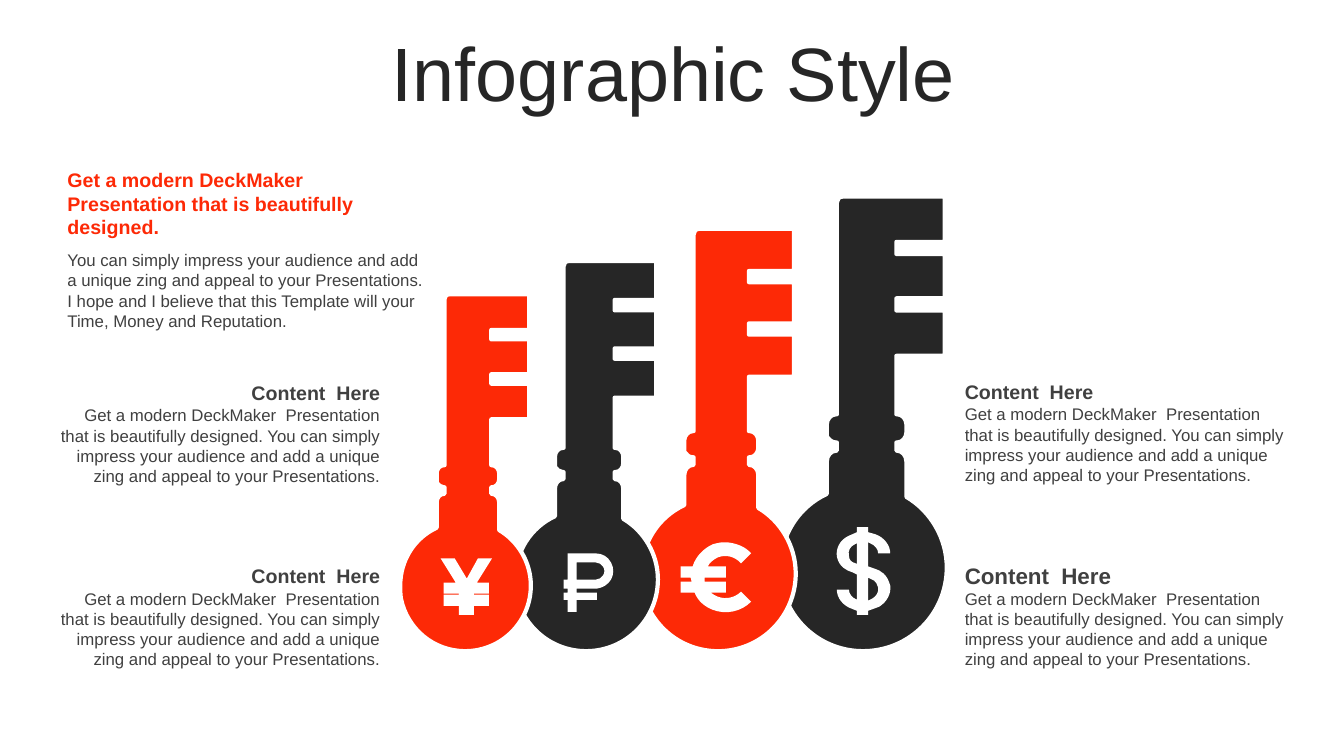
from lxml import etree
from pptx import Presentation
from pptx.dml.color import RGBColor
from pptx.enum.text import MSO_ANCHOR, MSO_AUTO_SIZE, PP_ALIGN
from pptx.oxml.ns import qn
from pptx.util import Inches, Pt

RED = RGBColor(0xFD, 0x29, 0x06)
BLACK = RGBColor(0x26, 0x26, 0x26)
GRAY = RGBColor(0x40, 0x40, 0x40)
WHITE = RGBColor(0xFF, 0xFF, 0xFF)
LEFT, CENTER, RIGHT = PP_ALIGN.LEFT, PP_ALIGN.CENTER, PP_ALIGN.RIGHT
TOP, MIDDLE = MSO_ANCHOR.TOP, MSO_ANCHOR.MIDDLE
FIT_SHAPE, NO_FIT = MSO_AUTO_SIZE.SHAPE_TO_FIT_TEXT, MSO_AUTO_SIZE.NONE

KEY_LEFT, KEY_BOTTOM, KEY_HEIGHT = 7.74, 6.46, 4.51

# Outlines are lists of contours: a pair is a corner, six numbers are a Bezier curve.
KEY = [[
    (8.83, 1.95), (8.36, 1.95), (8.32, 1.95, 8.3, 1.98, 8.3, 2.01),
    (8.3, 4.11), (8.29, 4.11), (8.24, 4.11, 8.2, 4.16, 8.2, 4.21),
    (8.2, 4.29), (8.2, 4.3, 8.2, 4.32, 8.2, 4.33),
    (8.22, 4.36, 8.25, 4.39, 8.29, 4.39), (8.3, 4.39), (8.3, 4.47),
    (8.24, 4.47, 8.2, 4.52, 8.2, 4.58), (8.2, 4.9),
    (7.92, 5.03, 7.74, 5.31, 7.74, 5.63), (7.74, 5.69, 7.74, 5.75, 7.75, 5.8),
    (7.83, 6.18, 8.16, 6.46, 8.56, 6.46), (9.02, 6.46, 9.39, 6.09, 9.39, 5.63),
    (9.39, 5.34, 9.23, 5.07, 8.99, 4.93), (8.99, 4.58),
    (8.99, 4.52, 8.95, 4.47, 8.89, 4.47), (8.89, 4.39), (8.9, 4.39),
    (8.95, 4.39, 8.99, 4.34, 8.99, 4.29), (8.99, 4.21),
    (8.99, 4.16, 8.95, 4.11, 8.9, 4.11), (8.89, 4.11), (8.89, 3.53),
    (9.37, 3.53), (9.37, 3.08), (8.89, 3.08), (8.89, 2.96), (9.37, 2.96),
    (9.37, 2.52), (8.89, 2.52), (8.89, 2.4), (9.37, 2.4), (9.37, 1.95),
]]
DOLLAR = [
    [(8.61, 5.73), (8.61, 5.96), (8.65, 5.94),
     (8.69, 5.92, 8.72, 5.87, 8.71, 5.83), (8.7, 5.8, 8.69, 5.77, 8.67, 5.76)],
    [(8.5, 5.39), (8.48, 5.4), (8.43, 5.42, 8.41, 5.47, 8.42, 5.51),
     (8.42, 5.56, 8.45, 5.58, 8.49, 5.59), (8.5, 5.6)],
    [(8.5, 5.23), (8.61, 5.23), (8.61, 5.28), (8.68, 5.3),
     (8.77, 5.33, 8.83, 5.41, 8.83, 5.49), (8.71, 5.49),
     (8.71, 5.45, 8.68, 5.41, 8.63, 5.39), (8.61, 5.38), (8.61, 5.62),
     (8.67, 5.64), (8.74, 5.66, 8.8, 5.7, 8.83, 5.81),
     (8.84, 5.89, 8.8, 5.97, 8.72, 6.02), (8.61, 6.06), (8.61, 6.1),
     (8.5, 6.1), (8.5, 6.06), (8.45, 6.04),
     (8.36, 6.01, 8.3, 5.93, 8.3, 5.85), (8.42, 5.85),
     (8.42, 5.89, 8.45, 5.93, 8.5, 5.95), (8.5, 5.7), (8.46, 5.68),
     (8.39, 5.66, 8.32, 5.62, 8.3, 5.52), (8.29, 5.44, 8.33, 5.36, 8.41, 5.32),
     (8.5, 5.28)],
]
YEN = [[
    (4.37, 5.54), (4.51, 5.54), (4.63, 5.74), (4.74, 5.54), (4.88, 5.54),
    (4.73, 5.78), (4.85, 5.78), (4.85, 5.89), (4.7, 5.89), (4.7, 5.9),
    (4.85, 5.9), (4.85, 6.01), (4.7, 6.01), (4.7, 6.1), (4.55, 6.1),
    (4.55, 6.01), (4.4, 6.01), (4.4, 5.9), (4.55, 5.9), (4.55, 5.89),
    (4.4, 5.89), (4.4, 5.78), (4.52, 5.78),
]]
EURO = [[
    (7.21, 5.38), (7.3, 5.39, 7.39, 5.42, 7.45, 5.49), (7.35, 5.59),
    (7.29, 5.52, 7.2, 5.5, 7.12, 5.53), (7.08, 5.55, 7.04, 5.58, 7.02, 5.62),
    (7.2, 5.62), (7.2, 5.73), (6.99, 5.73), (6.99, 5.77), (7.2, 5.77),
    (7.2, 5.88), (7.05, 5.88), (7.07, 5.9, 7.1, 5.91, 7.12, 5.92),
    (7.2, 5.95, 7.29, 5.93, 7.35, 5.87), (7.45, 5.97),
    (7.35, 6.07, 7.2, 6.1, 7.07, 6.05), (6.99, 6.02, 6.92, 5.96, 6.89, 5.88),
    (6.75, 5.88), (6.75, 5.77), (6.86, 5.77), (6.85, 5.73), (6.75, 5.73),
    (6.75, 5.62), (6.87, 5.62), (6.9, 5.52, 6.98, 5.44, 7.07, 5.4),
    (7.11, 5.39, 7.14, 5.38, 7.18, 5.38),
]]
RUBLE = [
    [(5.72, 5.58), (5.72, 5.75), (5.91, 5.75),
     (5.94, 5.75, 5.97, 5.73, 5.98, 5.71), (6, 5.68, 6, 5.65, 5.98, 5.62),
     (5.97, 5.6, 5.94, 5.58, 5.91, 5.58)],
    [(5.63, 5.49), (5.91, 5.49), (5.97, 5.49, 6.03, 5.52, 6.06, 5.58),
     (6.09, 5.63, 6.09, 5.7, 6.06, 5.75), (6.03, 5.8, 5.98, 5.83, 5.92, 5.84),
     (5.72, 5.84), (5.72, 5.88), (5.92, 5.88), (5.92, 5.95), (5.72, 5.95),
     (5.72, 6.07), (5.63, 6.07), (5.63, 5.95), (5.59, 5.95), (5.59, 5.88),
     (5.63, 5.88), (5.63, 5.84), (5.59, 5.84), (5.59, 5.75), (5.63, 5.75)],
]

# Left edge, height, colour; the largest key lies at the back.
KEYS = [(7.74, 4.51, BLACK), (6.36, 4.19, RED), (5.11, 3.87, BLACK), (3.97, 3.54, RED)]

# Left edge, heading top, heading height, heading size, body top, alignment.
CONTENT_BLOCKS = [
    (9.47, 3.72, 0.34, 14, 3.96, LEFT),
    (9.47, 5.53, 0.37, 16, 5.79, LEFT),
    (0.48, 3.73, 0.34, 14, 3.97, RIGHT),
    (0.48, 5.54, 0.34, 14, 5.79, RIGHT),
]
TAGLINE = "Get a modern DeckMaker  Presentation that is beautifully designed."
CONTENT = TAGLINE + (" You can simply impress your audience and add a unique zing"
                     " and appeal to your Presentations.")
INTRO = ("You can simply impress your audience and add a unique zing and appeal to your "
         "Presentations. I hope and I believe that this Template will your Time, "
         "Money and Reputation.")


def bend_lines(shape, contours):
    """Turn the straight segments that stand for curves into Bezier segments."""
    segments = [segment for contour in contours for segment in contour[1:]]
    lines = list(shape.element.iter(qn("a:lnTo")))
    for line, segment in zip(lines, segments):
        if len(segment) == 2:
            continue
        curve = etree.Element(qn("a:cubicBezTo"))
        for x, y in zip(segment[::2], segment[1::2]):
            etree.SubElement(curve, qn("a:pt"), x=str(Inches(x) - shape.left),
                             y=str(Inches(y) - shape.top))
        line.getparent().replace(line, curve)


class KeySlide:
    def __init__(self, slide, font):
        self.shapes = slide.shapes
        self.font = font

    def text(self, words, left, top, width, height, size, color=GRAY, bold=False,
             align=LEFT, anchor=TOP, fit=FIT_SHAPE, line_spacing=1.0):
        box = self.shapes.add_textbox(Inches(left), Inches(top), Inches(width), Inches(height))
        frame = box.text_frame
        frame.word_wrap = True
        frame.auto_size = fit
        frame.vertical_anchor = anchor
        frame.text = words
        para = frame.paragraphs[0]
        para.alignment = align
        para.line_spacing = line_spacing
        font = para.runs[0].font
        font.name, font.size, font.bold = self.font, Pt(size), bold
        font.color.rgb = color

    def outline(self, contours, color, border=None):
        builder = None
        for contour in contours:
            ends = [(Inches(segment[-2]), Inches(segment[-1])) for segment in contour]
            if builder is None:
                builder = self.shapes.build_freeform(*ends[0])
            else:
                builder.move_to(*ends[0])
            builder.add_line_segments(ends[1:], close=True)
        shape = builder.convert_to_shape()
        bend_lines(shape, contours)
        shape.shadow.inherit = False
        shape.fill.solid()
        shape.fill.fore_color.rgb = color
        if border is None:
            shape.line.fill.background()
        else:
            shape.line.color.rgb = border
            shape.line.width = Pt(3)

    def key(self, left, height, color):
        """Draw the key outline scaled to a height, standing on the common base line."""
        scale = height / KEY_HEIGHT
        origins = (KEY_LEFT, KEY_BOTTOM)
        targets = (left, KEY_BOTTOM)
        scaled = [[tuple(targets[i % 2] + (value - origins[i % 2]) * scale
                         for i, value in enumerate(segment))
                   for segment in contour] for contour in KEY]
        self.outline(scaled, color, WHITE)


def main():
    deck = Presentation()
    deck.slide_width, deck.slide_height = Inches(13.33), Inches(7.5)
    page = KeySlide(deck.slides.add_slide(deck.slide_layouts[6]), "Arial")

    page.text("Infographic Style", 0.35, 0.37, 12.66, 0.79, 54, BLACK,
              align=CENTER, anchor=MIDDLE, fit=NO_FIT, line_spacing=0.9)
    for left, height, color in KEYS:
        page.key(left, height, color)
    for symbol in (DOLLAR, YEN, EURO, RUBLE):
        page.outline(symbol, WHITE)
    for left, head_top, head_height, size, body_top, align in CONTENT_BLOCKS:
        page.text("Content  Here", left, head_top, 3.39, head_height, size,
                  bold=True, align=align, anchor=MIDDLE)
        page.text(CONTENT, left, body_top, 3.39, 0.91, 12, align=align)
    page.text(INTRO, 0.57, 2.43, 3.81, 0.91, 12)
    page.text(TAGLINE, 0.57, 1.62, 3.81, 0.81, 14, RED, bold=True)
    deck.save("out.pptx")


if __name__ == "__main__":
    main()
